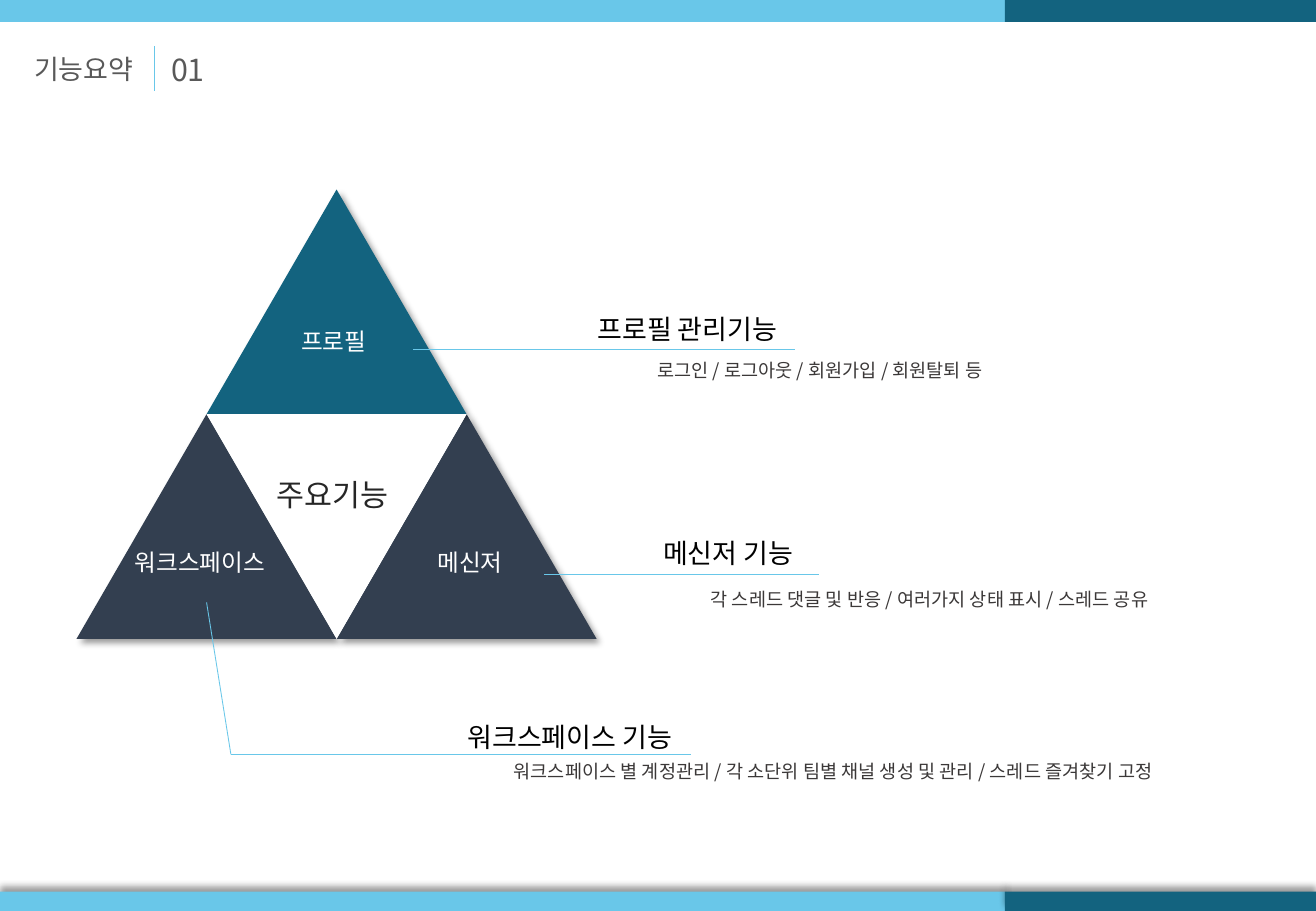
from lxml import etree
from pptx import Presentation
from pptx import util as u
from pptx.dml.color import RGBColor
from pptx.enum import shapes, text
from pptx.oxml.ns import qn

SKY = RGBColor(0x69, 0xC7, 0xE9)
TEAL = RGBColor(0x13, 0x63, 0x7F)
NAVY = RGBColor(0x33, 0x3F, 0x50)
WHITE = RGBColor(0xFF, 0xFF, 0xFF)
BLACK = RGBColor(0x00, 0x00, 0x00)
INK = RGBColor(0x26, 0x26, 0x26)
GRAY = RGBColor(0x59, 0x59, 0x59)
BROWN = RGBColor(0x3B, 0x38, 0x38)
FONT = "Noto Sans CJK KR"

W, H = 10.83, 7.5
SPLIT = 8.27  # where the bands change colour
COL, ROW = 1.07, 1.85  # half a triangle's width, a triangle's height
LEFT, TOP = 0.63, 1.56

prs = Presentation()
prs.slide_width, prs.slide_height = u.Inches(W), u.Inches(H)
s = prs.slides.add_slide(prs.slide_layouts[5])


def put_text(content, x, y, w, h, size=14, color=WHITE, wrap=False, sp=None):
    """Write one line of text in sp, or in a new text box."""
    if sp is None:
        sp = s.shapes.add_textbox(0, 0, 0, 0)
    sp.left, sp.top, sp.width, sp.height = (u.Inches(v) for v in (x, y, w, h))
    tf = sp.text_frame
    tf.word_wrap = wrap
    tf.auto_size = text.MSO_AUTO_SIZE.SHAPE_TO_FIT_TEXT
    tf.vertical_anchor = text.MSO_ANCHOR.TOP
    p = tf.paragraphs[0]
    p.alignment = text.PP_ALIGN.LEFT
    r = p.add_run()
    r.text = content
    r.font.name, r.font.size, r.font.color.rgb = FONT, u.Pt(size), color
    etree.SubElement(r._r.get_or_add_rPr(), qn("a:ea"), typeface=FONT)


def add_block(kind, x, y, w, h, color, shadow_angle=None):
    """Add a filled shape, with a soft shadow when an angle is given."""
    sp = s.shapes.add_shape(kind, *(u.Inches(v) for v in (x, y, w, h)))
    sp.shadow.inherit = False
    sp.fill.solid()
    sp.fill.fore_color.rgb = color
    sp.line.fill.background()
    if shadow_angle is not None:
        effects = sp._element.spPr.find(qn("a:effectLst"))
        shadow = etree.SubElement(
            effects, qn("a:outerShdw"), blurRad=str(u.Pt(4)), dist=str(u.Pt(3)),
            dir=str(shadow_angle * 60000), algn="ctr", rotWithShape="0")
        black = etree.SubElement(shadow, qn("a:srgbClr"), val="000000")
        etree.SubElement(black, qn("a:alpha"), val="40000")
    return sp


# Bands
for y, h, angle in [(H - 0.16, 0.16, 270), (0, 0.18, None)]:
    for x, w, color in [(0, SPLIT, SKY), (SPLIT, W - SPLIT, TEAL)]:
        add_block(shapes.MSO_SHAPE.RECTANGLE, x, y, w, h, color, angle)

# Heading
put_text("기능요약", 0.18, 0.38, 1.1, 0.37, size=16, color=GRAY, sp=s.shapes.title)
put_text("01", 1.31, 0.37, 0.49, 0.4, size=18, color=GRAY)

# Triangles, by column and row
for col, row, color, angle in [(0, 1, NAVY, 45), (2, 1, NAVY, 45),
                               (1, 0, TEAL, 45), (1, 1, WHITE, None)]:
    triangle = add_block(shapes.MSO_SHAPE.ISOSCELES_TRIANGLE, LEFT + col * COL,
                         TOP + row * ROW, 2 * COL, ROW, color, angle)
triangle.rotation = 180  # the white centre points down

for label, x, y, w in [("프로필", 2.38, 2.64, 0.79), ("워크스페이스", 1.01, 4.46, 1.38),
                       ("메신저", 3.5, 4.46, 0.79)]:
    put_text(label, x, y, w, 0.34)
put_text("주요기능", 2.18, 3.87, 1.21, 0.4, size=18, color=INK)

# Heading divider and leader lines
for x1, y1, x2, y2 in [(1.27, 0.38, 1.27, 0.75), (3.4, 2.88, 6.54, 2.88),
                       (4.48, 4.73, 6.74, 4.73), (1.9, 6.21, 5.69, 6.21),
                       (1.7, 4.96, 1.9, 6.21)]:
    line = s.shapes.add_connector(shapes.MSO_CONNECTOR.STRAIGHT,
                                  *(u.Inches(v) for v in (x1, y1, x2, y2)))
    line.line.color.rgb, line.line.width = SKY, u.Pt(0.5)
    etree.SubElement(line._element.spPr, qn("a:effectLst"))

# Features: name and details
features = [
    (("프로필 관리기능", 4.82, 2.52, 1.82),
     ("로그인 / 로그아웃 / 회원가입 / 회원탈퇴 등", 5.31, 2.91, 3.07)),
    (("메신저 기능", 5.36, 4.37, 1.37),
     ("각 스레드 댓글 및 반응 / 여러가지 상태 표시 / 스레드 공유", 5.75, 4.79, 4.3)),
    (("워크스페이스 기능", 3.75, 5.88, 2.05),
     ("워크스페이스 별 계정관리 / 각 소단위 팀별 채널 생성 및 관리 / 스레드 즐겨찾기 고정",
      4.13, 6.21, 5.94)),
]
for name, details in features:
    put_text(*name, 0.37, size=16, color=BLACK)
    put_text(*details, 0.29, size=11, color=BROWN, wrap=True)

prs.save("out.pptx")
